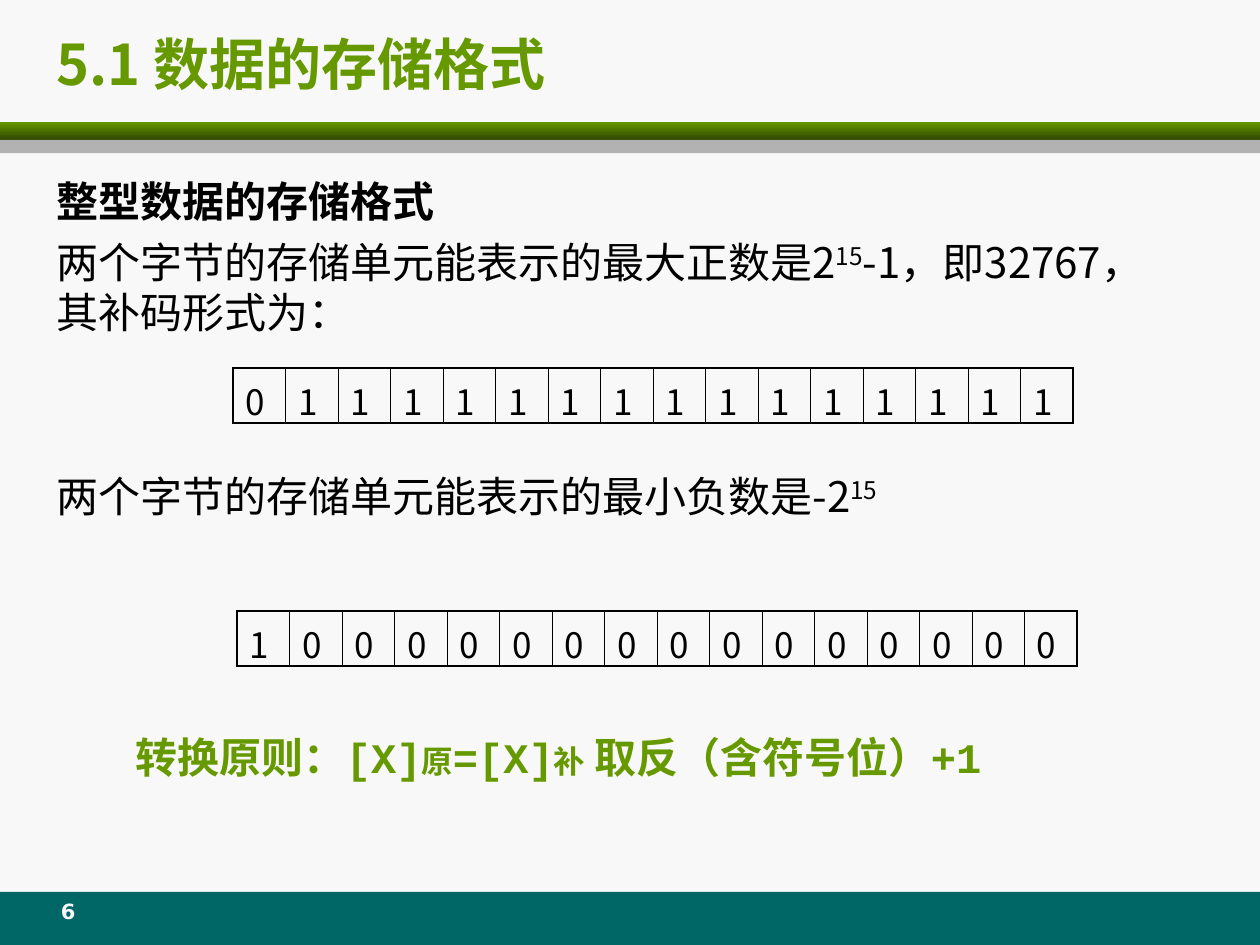
from dataclasses import dataclass

from lxml.etree import SubElement
from pptx import Presentation
from pptx.dml.color import RGBColor
from pptx.enum.shapes import MSO_SHAPE
from pptx.enum.text import MSO_ANCHOR, PP_ALIGN
from pptx.oxml import parse_xml
from pptx.oxml.ns import nsdecls, qn
from pptx.util import Cm, Pt


@dataclass(frozen=True)
class Theme:
    background: RGBColor = RGBColor.from_string("F8F8F8")
    green: RGBColor = RGBColor.from_string("669900")
    dark_green: RGBColor = RGBColor.from_string("2F4600")
    teal: RGBColor = RGBColor.from_string("006666")
    gray: RGBColor = RGBColor.from_string("B2B2B2")
    ink: RGBColor = RGBColor.from_string("000000")
    title_size: Pt = Pt(32)
    text_size: Pt = Pt(24)
    bit_size: Pt = Pt(20)
    small_size: Pt = Pt(18)
    number_size: Pt = Pt(12)
    text_font: str = "Noto Sans CJK SC"
    code_font: str = "Courier New"
    number_font: str = "DejaVu Sans"
    inner_line: float = 0.45
    outer_line: float = 1.08


THEME = Theme()
TEXT = {"name": THEME.text_font, "size": THEME.text_size, "bold": False, "color": THEME.ink}
HEADING = TEXT | {"bold": True}
TITLE = HEADING | {"size": THEME.title_size, "color": THEME.green}
EXPONENT = TEXT | {"baseline": 30}
BIT = TEXT | {"size": THEME.bit_size}
RULE = HEADING | {"name": THEME.code_font, "color": THEME.green}
RULE_SMALL = RULE | {"size": THEME.small_size}
NUMBER = {"name": THEME.number_font, "size": THEME.number_size, "bold": True,
          "color": THEME.background}


def set_attributes(target, values):
    for name, value in values.items():
        setattr(target, name, value)


def add_run(paragraph, text, style):
    run = paragraph.add_run()
    run.text = text
    values = dict(style)
    run.font.color.rgb = values.pop("color")
    baseline = values.pop("baseline", 0)
    set_attributes(run.font, values)
    properties = run._r.get_or_add_rPr()
    if baseline:
        properties.set("baseline", str(baseline * 1000))
    SubElement(properties, qn("a:ea"), typeface=THEME.text_font)


def add_bar(slide, top, height, *colors):
    bar = slide.shapes.add_shape(MSO_SHAPE.RECTANGLE, Cm(0), Cm(top), Cm(25.4), Cm(height))
    bar.shadow.inherit = False
    bar.line.fill.background()
    if len(colors) == 1:
        bar.fill.solid()
        bar.fill.fore_color.rgb = colors[0]
        return
    bar.fill.gradient()
    bar.fill.gradient_angle = 270
    for stop, color in zip(bar.fill.gradient_stops, colors):
        stop.color.rgb = color


def add_text(slide, box, paragraphs, frame_format=None):
    shape = slide.shapes.add_textbox(*map(Cm, box))
    frame = shape.text_frame
    set_attributes(frame, {"word_wrap": True} | (frame_format or {}))
    for index, (paragraph_format, runs) in enumerate(paragraphs):
        paragraph = frame.add_paragraph() if index else frame.paragraphs[0]
        set_attributes(paragraph, paragraph_format)
        for text, style in runs:
            add_run(paragraph, text, style)


def set_borders(cell, widths):
    properties = cell._tc.get_or_add_tcPr()
    for index, (side, width) in enumerate(widths.items()):
        line = parse_xml(
            f'<a:ln{side} {nsdecls("a")} w="{Pt(width)}"><a:solidFill>'
            f'<a:srgbClr val="{THEME.ink}"/></a:solidFill></a:ln{side}>')
        properties.insert(index, line)


def add_bits(slide, left, top, bits):
    count = len(bits)
    width, height = Cm(16.94), Cm(1.09)
    frame = slide.shapes.add_table(1, count, Cm(left), Cm(top), width, height)
    table = frame.table
    set_attributes(table, {"first_row": False, "horz_banding": False})
    for index, bit in enumerate(bits):
        table.columns[index].width = width // count
        cell = table.cell(0, index)
        cell.fill.background()
        set_borders(cell, {
            "L": THEME.inner_line if index else THEME.outer_line,
            "R": THEME.inner_line if index < count - 1 else THEME.outer_line,
            "T": THEME.outer_line,
            "B": THEME.outer_line,
        })
        add_run(cell.text_frame.paragraphs[0], bit, BIT)


def main():
    presentation = Presentation()
    set_attributes(presentation, {"slide_width": Cm(25.4), "slide_height": Cm(19.05)})
    slide = presentation.slides.add_slide(presentation.slide_layouts[6])
    slide.background.fill.solid()
    slide.background.fill.fore_color.rgb = THEME.background

    add_bar(slide, 17.98, 1.07, THEME.teal)
    add_bar(slide, 2.46, 0.36, THEME.green, THEME.dark_green)
    add_bar(slide, 2.82, 0.27, THEME.gray)

    add_text(slide, (0.89, 0.53, 22.15, 1.5), [({}, [("5.1 数据的存储格式", TITLE)])],
             {"vertical_anchor": MSO_ANCHOR.MIDDLE})

    spacing = {"line_spacing": Pt(28.6)}
    add_text(slide, (0.89, 3.33, 23.1, 14.45), [
        (spacing, [("整型数据的存储格式", HEADING)]),
        (spacing | {"space_before": Pt(6)}, [
            ("两个字节的存储单元能表示的最大正数是2", TEXT),
            ("15", EXPONENT),
            ("-1，即32767，其补码形式为：", TEXT),
        ]),
        (spacing | {"space_before": Pt(76.5)}, [
            ("两个字节的存储单元能表示的最小负数是-2", TEXT),
            ("15", EXPONENT),
        ]),
    ], {"margin_top": Cm(0.22)})

    add_bits(slide, 4.78, 12.32, "1" + "0" * 15)
    add_bits(slide, 4.7, 7.42, "0" + "1" * 15)

    add_text(slide, (2.49, 14.53, 18.01, 1.27), [
        ({"line_spacing": Pt(29)}, [
            ("转换原则：[X]", RULE),
            ("原", RULE_SMALL),
            ("=[X]", RULE),
            ("补", RULE_SMALL),
            (" 取反（含符号位）+1", RULE),
        ]),
    ], {"margin_top": Cm(0.2)})

    add_text(slide, (0.64, 17.98, 1.47, 0.84),
             [({"alignment": PP_ALIGN.CENTER}, [("6", NUMBER)])])

    presentation.save("out.pptx")


if __name__ == "__main__":
    main()
